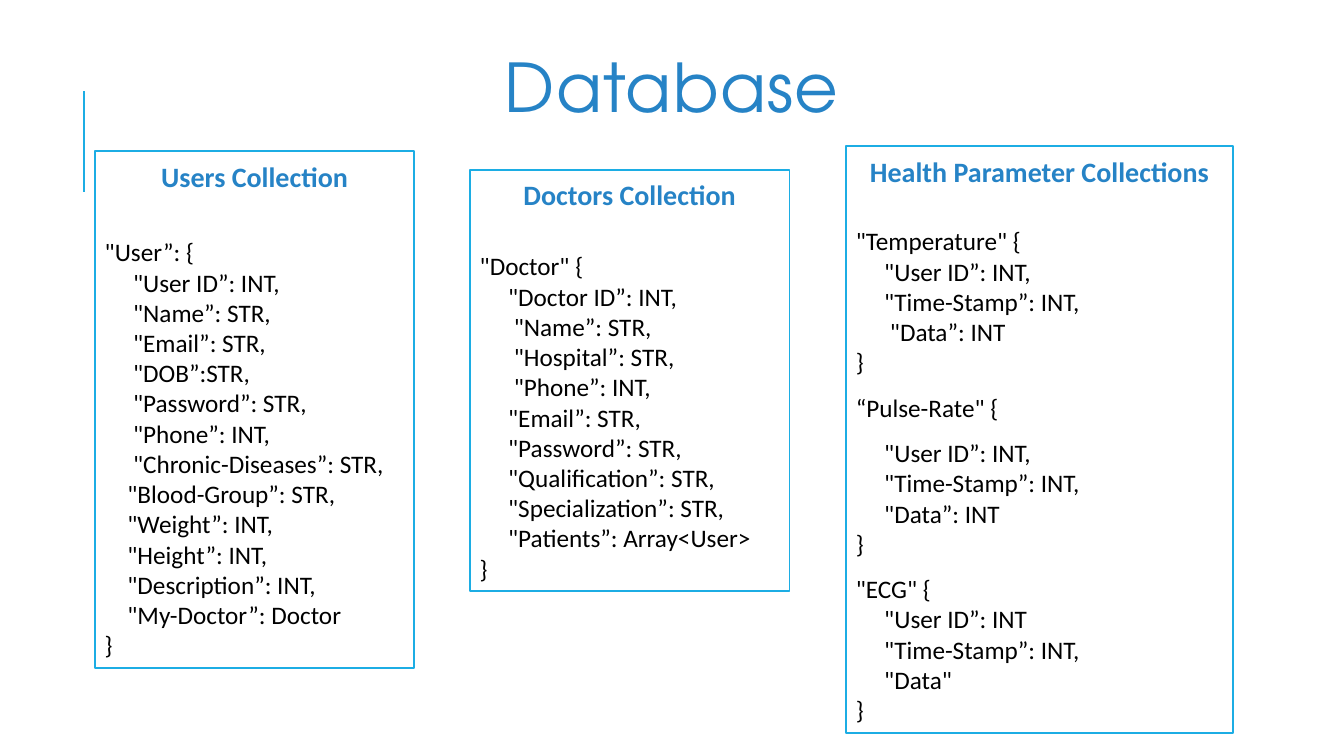
from pptx import Presentation
from pptx import util as u
from pptx.dml.color import RGBColor
from pptx.enum import shapes, text
from pptx.oxml.ns import qn
from lxml import etree

PX = 9144  # one hundred px to the inch
BLUE, CYAN, BLACK, WHITE = "2683C6", "1CADE4", "000000", "FFFFFF"

USERS = '''"User”: {
     "User ID”: INT,
     "Name”: STR,
     "Email”: STR,
     "DOB”:STR,
     "Password”: STR,
     "Phone”: INT,
     "Chronic-Diseases”: STR,
    "Blood-Group”: STR,
    "Weight”: INT,
    "Height”: INT,
    "Description”: INT,
    "My-Doctor”: Doctor
}'''
DOCTORS = '''"Doctor" {
     "Doctor ID”: INT,
      "Name”: STR,
      "Hospital”: STR,
      "Phone”: INT,
     "Email”: STR,
     "Password”: STR,
     "Qualification”: STR,
     "Specialization”: STR,
     "Patients”: Array<User>
}'''
HEALTH = '''"Temperature" {
     "User ID”: INT,
     "Time-Stamp”: INT,
      "Data”: INT
}
“Pulse-Rate" {
     "User ID”: INT,
     "Time-Stamp”: INT,
     "Data”: INT
}
"ECG" {
     "User ID”: INT
     "Time-Stamp”: INT,
     "Data"
}'''
HEALTH_LOOSE_LINES = (5, 6, 10)

# heading, code, box in px, gap under heading in points, loosely spaced lines
COLLECTIONS = [
    ("Users Collection", USERS, (94, 150, 317, 513), 31, ()),
    ("Doctors Collection", DOCTORS, (466, 169, 317, 417), 28, ()),
    ("Health Parameter Collections", HEALTH, (839, 145, 384, 582), 27,
     HEALTH_LOOSE_LINES),
]


def px(*lengths):
    return [u.Emu(length * PX) for length in lengths]


def color(hex_string):
    return RGBColor.from_string(hex_string)


def write(paragraph, words, size=18, font="Calibri", fill=BLACK, bold=False,
          align=text.PP_ALIGN.LEFT, line_spacing=1.0, after=0, tracking=None):
    paragraph.alignment = align
    paragraph.line_spacing = line_spacing
    paragraph.space_before = u.Pt(0)
    paragraph.space_after = u.Pt(after)
    run = paragraph.add_run()
    run.text = words
    run.font.size = u.Pt(size)
    run.font.name = font
    run.font.bold = bold
    run.font.color.rgb = color(fill)
    if tracking:
        run.font._element.set("spc", str(tracking * 100))


def add_title(slide, box):
    title = slide.shapes.title
    title.left, title.top, title.width, title.height = px(*box)
    frame = title.text_frame
    frame.auto_size = text.MSO_AUTO_SIZE.NONE
    frame.vertical_anchor = text.MSO_ANCHOR.MIDDLE
    write(frame.paragraphs[0], "Database", size=48, font="TeX Gyre Adventor",
          fill=BLUE, align=text.PP_ALIGN.CENTER, line_spacing=0.8, tracking=1)


def add_accent_line(slide, x, top, bottom):
    line = slide.shapes.add_connector(
        shapes.MSO_CONNECTOR.STRAIGHT, *px(x, bottom, x, top))
    line.line.color.rgb = color(CYAN)
    line.line.width = u.Pt(1.5)
    etree.SubElement(line._element.spPr, qn("a:effectLst"))


def add_collection(slide, heading, code, box, gap, loose_lines):
    card = slide.shapes.add_shape(shapes.MSO_SHAPE.RECTANGLE, *px(*box))
    card.shadow.inherit = False
    card.fill.solid()
    card.fill.fore_color.rgb = color(WHITE)
    card.line.color.rgb = color(CYAN)
    card.line.width = u.Pt(1.25)
    frame = card.text_frame
    frame.word_wrap = True
    frame.auto_size = text.MSO_AUTO_SIZE.SHAPE_TO_FIT_TEXT
    frame.vertical_anchor = text.MSO_ANCHOR.MIDDLE
    write(frame.paragraphs[0], heading, size=20, fill=BLUE, bold=True,
          align=text.PP_ALIGN.CENTER, after=gap)
    for number, code_line in enumerate(code.split("\n")):
        write(frame.add_paragraph(), code_line,
              line_spacing=1.5 if number in loose_lines else 1.0)


def main():
    presentation = Presentation()
    presentation.slide_width, presentation.slide_height = px(1333, 750)
    slide = presentation.slides.add_slide(presentation.slide_layouts[5])

    # Title and accent
    add_accent_line(slide, 83, 90, 190)
    add_title(slide, (275, 42, 783, 100))

    # Database collections
    for collection in COLLECTIONS:
        add_collection(slide, *collection)

    presentation.save("out.pptx")


if __name__ == "__main__":
    main()
